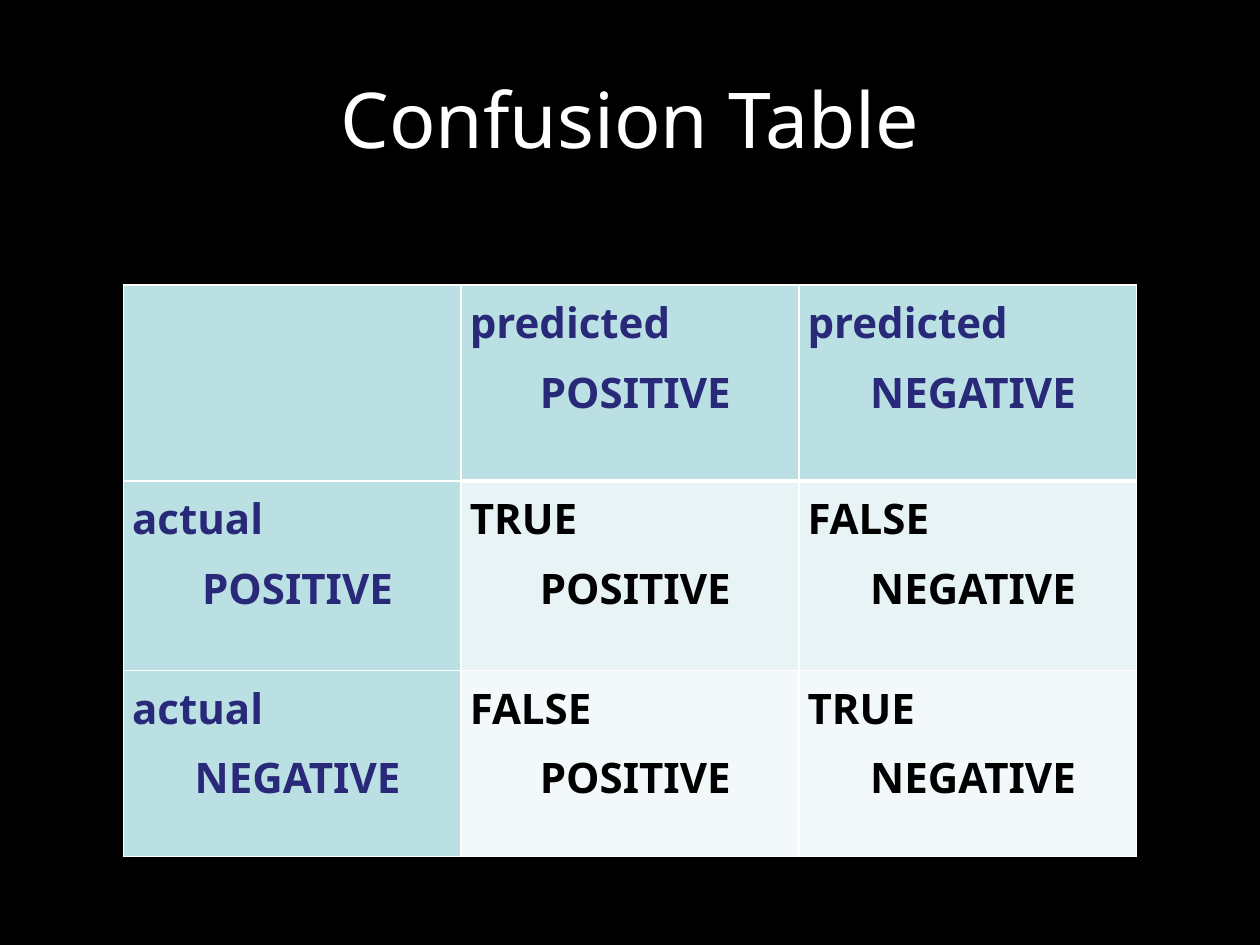
import dataclasses

import lxml.etree
import pptx
import pptx.dml.color
import pptx.enum.text
import pptx.oxml.ns
import pptx.util

Pt = pptx.util.Pt
Align = pptx.enum.text.PP_ALIGN
Anchor = pptx.enum.text.MSO_ANCHOR
qn = pptx.oxml.ns.qn


def rgb(value):
    return pptx.dml.color.RGBColor.from_string(value)


@dataclasses.dataclass(frozen=True)
class Theme:
    font: str = "Noto Sans"
    background: str = "000000"
    title: str = "FFFFFF"
    label: str = "29297A"
    outcome: str = "000000"
    header_fill: str = "BBE0E3"
    row_fills: tuple = ("E7F3F4", "F3F9FA")
    border: str = "FFFFFF"
    title_size: int = 44
    cell_size: int = 24
    thin: int = 1
    thick: int = 3


class SlideBuilder:
    def __init__(self, slide, theme):
        self.slide = slide
        self.theme = theme
        slide.background.fill.solid()
        slide.background.fill.fore_color.rgb = rgb(theme.background)

    def style(self, paragraph, size, color, bold):
        paragraph.font.name = self.theme.font
        paragraph.font.size = Pt(size)
        paragraph.font.bold = bold
        paragraph.font.color.rgb = rgb(color)

    def title(self, wording, left, top, width, height):
        heading = self.slide.shapes.title
        heading.left, heading.top = Pt(left), Pt(top)
        heading.width, heading.height = Pt(width), Pt(height)
        frame = heading.text_frame
        frame.text = wording
        frame.vertical_anchor = Anchor.MIDDLE
        frame.margin_left = frame.margin_right = Pt(3)
        frame.margin_top = frame.margin_bottom = Pt(3)
        paragraph = frame.paragraphs[0]
        paragraph.alignment = Align.CENTER
        self.style(paragraph, self.theme.title_size, self.theme.title, False)

    def border(self, cell, side, weight):
        properties = cell._tc.get_or_add_tcPr()
        line = lxml.etree.SubElement(properties, qn(f"a:ln{side}"), w=str(Pt(weight)))
        fill = lxml.etree.SubElement(line, qn("a:solidFill"))
        lxml.etree.SubElement(fill, qn("a:srgbClr"), val=self.theme.border)

    def cell(self, cell, wording, fill, color, edges):
        for side, weight in edges.items():
            self.border(cell, side, weight)
        cell.fill.solid()
        cell.fill.fore_color.rgb = rgb(fill)
        cell.margin_left = cell.margin_right = Pt(5)
        cell.margin_top = cell.margin_bottom = Pt(5)
        cell.text = "\n".join(wording)
        for index, paragraph in enumerate(cell.text_frame.paragraphs):
            self.style(paragraph, self.theme.cell_size, color, True)
            if index:
                paragraph.alignment = Align.CENTER
                paragraph.space_before = Pt(7)
                paragraph._p.get_or_add_pPr().set("indent", str(Pt(6)))

    def table(self, rows, left, top, column_width, row_heights):
        theme = self.theme
        columns = len(rows[0])
        table = self.slide.shapes.add_table(
            len(rows), columns, Pt(left), Pt(top),
            Pt(column_width * columns), Pt(sum(row_heights)),
        ).table
        table.first_row = table.horz_banding = False
        for column in table.columns:
            column.width = Pt(column_width)
        for r, (wordings, height) in enumerate(zip(rows, row_heights)):
            table.rows[r].height = Pt(height)
            for c, wording in enumerate(wordings):
                header = r == 0 or c == 0
                edges = dict.fromkeys("LRTB", theme.thin)
                if c and r == 0:
                    edges["B"] = theme.thick
                if c and r == 1:
                    edges["T"] = theme.thick
                self.cell(
                    table.cell(r, c), wording,
                    theme.header_fill if header else theme.row_fills[r - 1],
                    theme.label if header else theme.outcome, edges,
                )


def main():
    deck = pptx.Presentation()
    deck.slide_width, deck.slide_height = Pt(720), Pt(540)
    builder = SlideBuilder(deck.slides.add_slide(deck.slide_layouts[5]), Theme())
    builder.title("Confusion Table", 36, 7.5, 648, 119)
    outcomes = [
        [(), ("predicted", "POSITIVE"), ("predicted", "NEGATIVE")],
        [("actual", "POSITIVE"), ("TRUE", "POSITIVE"), ("FALSE", "NEGATIVE")],
        [("actual", "NEGATIVE"), ("FALSE", "POSITIVE"), ("TRUE", "NEGATIVE")],
    ]
    builder.table(outcomes, 70.5, 162.8, 193, (112, 108.3, 106.4))
    deck.save("out.pptx")


if __name__ == "__main__":
    main()
